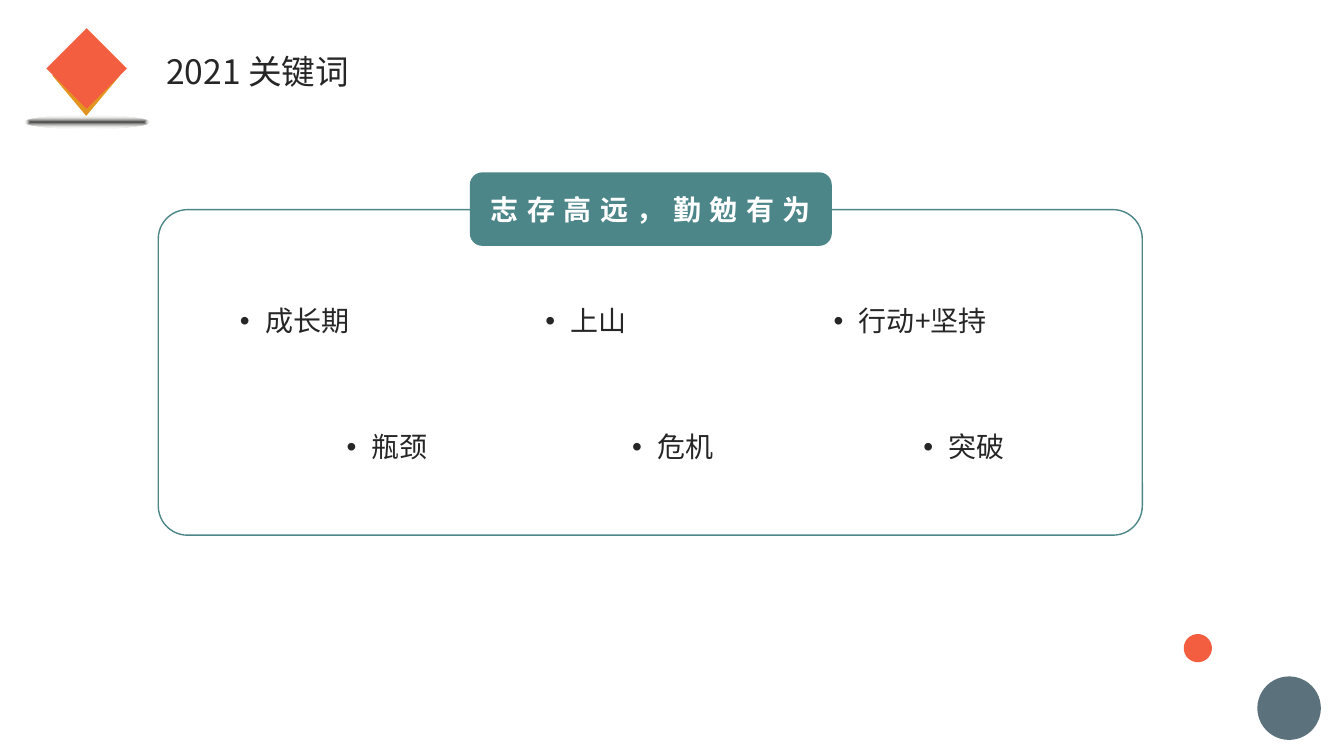
"""Build the 2021 keyword slide."""
from lxml import etree
from pptx import Presentation
from pptx import util as u
from pptx.dml.color import RGBColor
from pptx.enum import shapes, text
from pptx.oxml import parse_xml
from pptx.oxml.ns import nsdecls, qn

TITLE = ("2021 关键词", (155, 46, 330, 50))
MOTTO = ("志存高远，勤勉有为", (466, 171, 359, 73))
FRAME = (157, 208, 976, 323)
ROWS = [
    (302, [("成长期", 228, 169), ("上山", 531, 274), ("行动+坚持", 817, 212)]),
    (427, [("瓶颈", 334, 169), ("危机", 617, 111), ("突破", 906, 111)]),
]
DOTS = [((1247, 671, 63, 63), "slate"), ((1174, 629, 28, 28), "coral")]
GEMS = [((52, 35, 67, 80), "amber"), ((46, 28, 80, 80), "coral")]
SHADE = (24, 115, 124, 12)
ITEM_H = 38
THEME = {
    "slate": "5B727D", "coral": "F35E40", "amber": "E19520",
    "teal": "4D8689", "ink": "262626", "white": "FFFFFF",
    "dark": "404040", "pale": "EEECE1",
    "font": "Noto Sans CJK SC", "head": 24, "body": 20,
}
PX = 9144
KIND = shapes.MSO_SHAPE


def emu(box):
    return [u.Emu(n * PX) for n in box]


def tint(name):
    return RGBColor.from_string(THEME[name])


def draw(home, kind, box, fill=None, line=None, adj=None):
    shape = home.shapes.add_shape(kind, *emu(box))
    shape.shadow.inherit = False
    if adj is not None:
        shape.adjustments[0] = adj
    if fill:
        shape.fill.solid()
        shape.fill.fore_color.rgb = tint(fill)
    else:
        shape.fill.background()
    if line:
        shape.line.color.rgb = tint(line)
        shape.line.width = u.Pt(1)
    else:
        shape.line.fill.background()
    return shape


def style(para, size, color, bold=False, gap=0):
    font = para.font
    font.name, font.size = THEME["font"], u.Pt(THEME[size])
    font.bold, font.color.rgb = bold, tint(color)
    props = para._p.pPr.find(qn("a:defRPr"))
    east = etree.Element(qn("a:ea"), typeface=THEME["font"])
    props.find(qn("a:latin")).addnext(east)
    if gap:
        props.set("spc", str(gap * 100))


def write(slide, words, box):
    frame = slide.shapes.add_textbox(*emu(box)).text_frame
    frame.word_wrap = True
    frame.auto_size = text.MSO_AUTO_SIZE.SHAPE_TO_FIT_TEXT
    para = frame.paragraphs[0]
    para.text = words
    return para


def bullet(para):
    para.line_spacing = u.Pt(20)
    props = para._p.get_or_add_pPr()
    props.set("marL", str(25 * PX))
    props.set("indent", str(-25 * PX))
    etree.SubElement(props, qn("a:buFont"), typeface="Arial")
    etree.SubElement(props, qn("a:buChar"), char="•")


def fade(shape):
    grad = parse_xml(
        f'<a:gradFill {nsdecls("a")} rotWithShape="1"><a:gsLst>'
        f'<a:gs pos="0"><a:srgbClr val="{THEME["dark"]}"/></a:gs>'
        f'<a:gs pos="100000"><a:srgbClr val="{THEME["pale"]}">'
        '<a:alpha val="0"/></a:srgbClr></a:gs></a:gsLst>'
        '<a:path path="shape"><a:fillToRect l="50000" t="50000" '
        'r="50000" b="50000"/></a:path></a:gradFill>')
    props = shape._element.spPr
    props.replace(props.find(qn("a:solidFill")), grad)


def main():
    deck = Presentation()
    deck.slide_width, deck.slide_height = emu((1333, 750))
    slide = deck.slides.add_slide(deck.slide_layouts[6])
    for box, fill in DOTS:
        draw(slide, KIND.OVAL, box, fill).rotation = 159
    style(write(slide, *TITLE), "head", "ink")
    draw(slide, KIND.ROUNDED_RECTANGLE, FRAME, line="teal", adj=0.09)

    words, box = MOTTO
    badge = draw(slide, KIND.ROUNDED_RECTANGLE, box, "teal", adj=0.17)
    frame = badge.text_frame
    frame.word_wrap = True
    frame.vertical_anchor = text.MSO_ANCHOR.MIDDLE
    para = frame.paragraphs[0]
    para.text, para.alignment = words, text.PP_ALIGN.CENTER
    style(para, "body", "white", True, 6)

    for top, items in ROWS:
        for words, left, width in items:
            para = write(slide, words, (left, top, width, ITEM_H))
            bullet(para)
            style(para, "body", "ink")

    mark = slide.shapes.add_group_shape()
    fade(draw(mark, KIND.OVAL, SHADE, "dark"))
    for box, fill in GEMS:
        draw(mark, KIND.DIAMOND, box, fill)
    deck.save("out.pptx")


if __name__ == "__main__":
    main()
